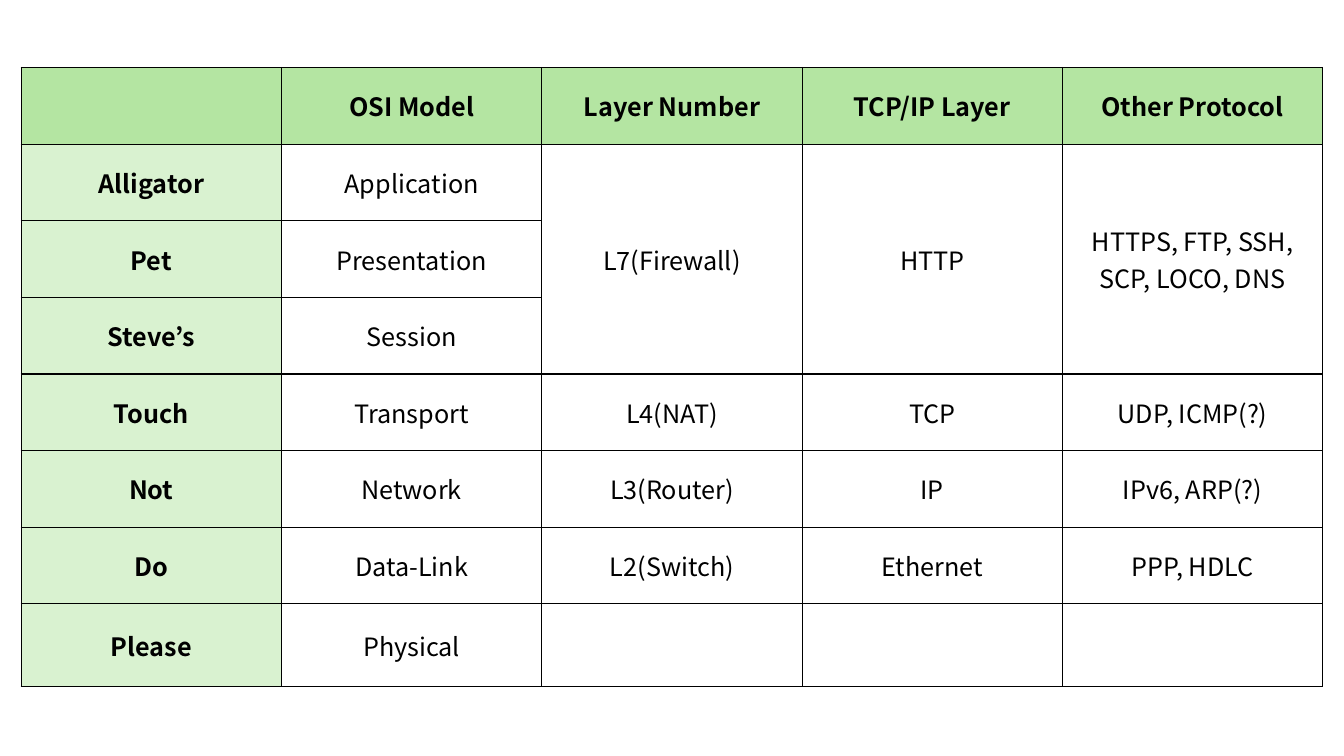
from lxml.etree import SubElement
from pptx import Presentation
from pptx.dml.color import RGBColor
from pptx.enum.text import MSO_ANCHOR, PP_ALIGN
from pptx.oxml.ns import qn
from pptx.util import Inches, Pt

BLACK = RGBColor(0x00, 0x00, 0x00)
WHITE = RGBColor(0xFF, 0xFF, 0xFF)
HEADER_GREEN = RGBColor(0xB4, 0xE5, 0xA2)
MNEMONIC_GREEN = RGBColor(0xD9, 0xF2, 0xD0)
FONT = "Noto Sans CJK KR"

LAYERS = [
    ["", "OSI Model", "Layer Number", "TCP/IP Layer", "Other Protocol"],
    ["Alligator", "Application", "L7(Firewall)", "HTTP",
     "HTTPS, FTP, SSH, SCP, LOCO, DNS"],
    ["Pet", "Presentation", "", "", ""],
    ["Steve’s", "Session", "", "", ""],
    ["Touch", "Transport", "L4(NAT)", "TCP", "UDP, ICMP(?)"],
    ["Not", "Network", "L3(Router)", "IP", "IPv6, ARP(?)"],
    ["Do", "Data-Link", "L2(Switch)", "Ethernet", "PPP, HDLC"],
    ["Please", "Physical", "", "", ""],
]
ROW_HEIGHT = Inches(0.76)
# First and last row of the layers that share one cell in columns 2 to 4
MERGED_ROWS = (1, 3)


def add_borders(cell):
    """Line all four sides; call before filling, as the schema puts lines first."""
    properties = cell._tc.get_or_add_tcPr()
    for side in ("lnL", "lnR", "lnT", "lnB"):
        line = SubElement(properties, qn(f"a:{side}"), w=str(Pt(1)))
        fill = SubElement(line, qn("a:solidFill"))
        SubElement(fill, qn("a:srgbClr"), val=str(BLACK))


def write_cell(cell, text, bold):
    cell.vertical_anchor = MSO_ANCHOR.MIDDLE
    paragraph = cell.text_frame.paragraphs[0]
    paragraph.alignment = PP_ALIGN.CENTER
    if not text:
        return
    run = paragraph.add_run()
    run.text = text
    run.font.name = FONT
    run.font.size = Pt(18)
    run.font.bold = bold
    run.font.color.rgb = BLACK
    SubElement(run.font._element, qn("a:ea"), typeface=FONT)


def add_layer_table(slide, left, top, width, height):
    row_count, column_count = len(LAYERS), len(LAYERS[0])
    table = slide.shapes.add_table(
        row_count, column_count, left, top, width, height).table
    table.first_row = table.horz_banding = False

    for row in table.rows:
        row.height = ROW_HEIGHT
    table.rows[row_count - 1].height = height - ROW_HEIGHT * (row_count - 1)

    for r, layer in enumerate(LAYERS):
        for c, text in enumerate(layer):
            cell = table.cell(r, c)
            add_borders(cell)
            cell.fill.solid()
            cell.fill.fore_color.rgb = (
                HEADER_GREEN if r == 0 else MNEMONIC_GREEN if c == 0 else WHITE)
            write_cell(cell, text, bold=r == 0 or c == 0)

    first, last = MERGED_ROWS
    for c in range(2, column_count):
        table.cell(first, c).merge(table.cell(last, c))


def main():
    presentation = Presentation()
    presentation.slide_width = Inches(13.33)
    presentation.slide_height = Inches(7.5)
    slide = presentation.slides.add_slide(presentation.slide_layouts[6])
    add_layer_table(slide, Inches(0.21), Inches(0.67), Inches(12.91), Inches(6.14))
    presentation.save("out.pptx")


if __name__ == "__main__":
    main()
